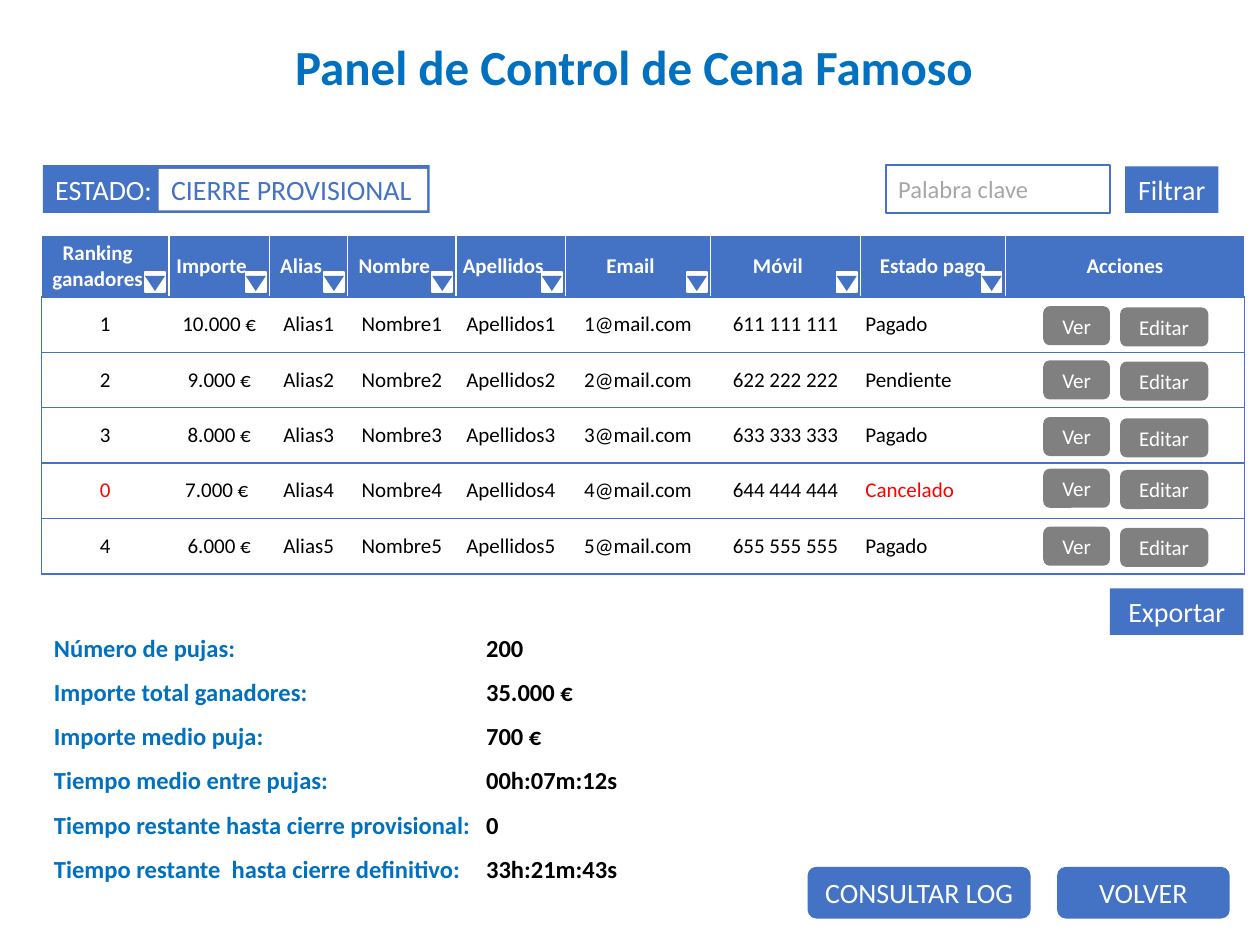
from dataclasses import dataclass
from itertools import accumulate

from lxml import etree
from pptx import Presentation
from pptx.dml.color import RGBColor
from pptx.enum.shapes import MSO_SHAPE
from pptx.enum.text import MSO_ANCHOR, MSO_AUTO_SIZE, PP_ALIGN
from pptx.oxml.ns import qn
from pptx.util import Inches, Pt

RECT = MSO_SHAPE.RECTANGLE
ROUND = MSO_SHAPE.ROUNDED_RECTANGLE
TRIANGLE = MSO_SHAPE.ISOSCELES_TRIANGLE
LEFT, CENTER = PP_ALIGN.LEFT, PP_ALIGN.CENTER
TOP, MIDDLE = MSO_ANCHOR.TOP, MSO_ANCHOR.MIDDLE
NO_FIT = MSO_AUTO_SIZE.NONE

FONT = "Calibri"
COLORS = {
    "blue": "4472C4",
    "heading": "0070C0",
    "white": "FFFFFF",
    "black": "000000",
    "red": "FF0000",
    "button": "808080",
    "hint": "A6A6A6",
}

TABLE_X, TABLE_Y = 0.33, 1.87
COL_WIDTHS = [1.01, 0.8, 0.62, 0.86, 0.87, 1.15, 1.19, 1.15, 1.9]
HEADER_HEIGHT, ROW_HEIGHT = 0.48, 0.44
HEADERS = ["Ranking ganadores", "Importe", "Alias", "Nombre", "Apellidos",
           "Email", "Móvil", "Estado pago", "Acciones"]
STATUS_COL, ACTIONS_COL = 7, 8
FILTER_SIZE = 0.16
ACTION_TOPS = [2.43, 2.86, 3.31, 3.72, 4.18]


@dataclass
class Winner:
    rank: str
    amount: str
    status: str

    def cells(self, n: int) -> list[str]:
        phone = f"6{n}{n} {str(n) * 3} {str(n) * 3}"
        return [self.rank, self.amount, f"Alias{n}", f"Nombre{n}",
                f"Apellidos{n}", f"{n}@mail.com", phone, self.status, ""]


@dataclass
class Box:
    x: float
    y: float
    w: float
    h: float
    text: str = ""
    size: int = 16
    fill: str | None = "blue"
    line: str | None = None
    color: str = "white"
    align: PP_ALIGN = CENTER
    shape: MSO_SHAPE = RECT


WINNERS = [
    Winner("1", "10.000 €", "Pagado"),
    Winner("2", "9.000 €", "Pendiente"),
    Winner("3", "8.000 €", "Pagado"),
    Winner("0", "7.000 € ", "Cancelado"),
    Winner("4", "6.000 €", "Pagado"),
]

BOXES = [
    Box(8.93, 1.32, 0.74, 0.37, "Filtrar"),
    Box(7.03, 1.31, 1.78, 0.38, "Palabra clave", size=14, fill=None,
        line="blue", color="hint", align=LEFT),
    Box(0.34, 1.31, 3.07, 0.38, "ESTADO:", align=LEFT),
    Box(1.26, 1.34, 2.13, 0.33, "CIERRE PROVISIONAL", fill="white",
        color="blue", align=LEFT),
    Box(8.81, 4.67, 1.06, 0.37, "Exportar"),
    Box(6.41, 6.88, 1.77, 0.41, "CONSULTAR LOG", shape=ROUND),
    Box(8.39, 6.88, 1.37, 0.41, "VOLVER", shape=ROUND),
]

SUMMARY = {
    "Número de pujas:": "200",
    "Importe total ganadores:": "35.000 €",
    "Importe medio puja:": "700 €",
    "Tiempo medio entre pujas:": "00h:07m:12s",
    "Tiempo restante hasta cierre provisional:": "0",
    "Tiempo restante  hasta cierre definitivo:": "33h:21m:43s",
}


def rgb(name: str) -> RGBColor:
    return RGBColor.from_string(COLORS[name])


def write(tf, text: str, *, size: int, color: str, bold: bool = False,
          align: PP_ALIGN = LEFT, spacing: float | None = None) -> None:
    for i, line in enumerate(text.split("\n")):
        p = tf.add_paragraph() if i else tf.paragraphs[0]
        p.alignment = align
        p.line_spacing = spacing
        r = p.add_run()
        r.text = line
        r.font.name = FONT
        r.font.size = Pt(size)
        r.font.bold = bold
        r.font.color.rgb = rgb(color)


def draw_box(shapes, box: Box):
    sp = shapes.add_shape(box.shape, Inches(box.x), Inches(box.y),
                          Inches(box.w), Inches(box.h))
    sp.shadow.inherit = False
    if box.fill:
        sp.fill.solid()
        sp.fill.fore_color.rgb = rgb(box.fill)
    else:
        sp.fill.background()
    if box.line:
        sp.line.color.rgb = rgb(box.line)
        sp.line.width = Pt(1)
    else:
        sp.line.fill.background()
    if box.text:
        sp.text_frame.vertical_anchor = MIDDLE
        write(sp.text_frame, box.text, size=box.size, color=box.color,
              align=box.align)
    return sp


def draw_filter(s, x: float) -> None:
    group = s.shapes.add_group_shape()
    draw_box(group.shapes, Box(x, 2.16, FILTER_SIZE, FILTER_SIZE,
                               fill="white", line="white"))
    arrow = draw_box(group.shapes, Box(x, 2.19, FILTER_SIZE, 0.12,
                                       shape=TRIANGLE))
    arrow.rotation = 180


def set_borders(cell, left: str, right: str, top: str, bottom: str) -> None:
    tc_pr = cell._tc.get_or_add_tcPr()
    sides = {"a:lnL": left, "a:lnR": right, "a:lnT": top, "a:lnB": bottom}
    for tag, color in sides.items():
        ln = etree.SubElement(tc_pr, qn(tag), w=str(Pt(1)))
        fill = etree.SubElement(ln, qn("a:solidFill"))
        etree.SubElement(fill, qn("a:srgbClr"), val=COLORS[color])


def draw_table(s) -> None:
    rows = [HEADERS] + [w.cells(n) for n, w in enumerate(WINNERS, 1)]
    heights = [HEADER_HEIGHT] + [ROW_HEIGHT] * len(WINNERS)
    table = s.shapes.add_table(
        len(rows), len(HEADERS), Inches(TABLE_X), Inches(TABLE_Y),
        Inches(sum(COL_WIDTHS)), Inches(sum(heights))).table
    table.horz_banding = False
    for col, width in zip(table.columns, COL_WIDTHS):
        col.width = Inches(width)
    for i, (values, height) in enumerate(zip(rows, heights)):
        table.rows[i].height = Inches(height)
        header = i == 0
        cancelled = values[STATUS_COL] == "Cancelado"
        for j, text in enumerate(values):
            cell = table.cell(i, j)
            first = j == 0 and not header
            last = j == ACTIONS_COL and not header
            set_borders(cell, "blue" if first else "white",
                        "blue" if last else "white",
                        "white" if header else "blue", "blue")
            cell.fill.solid()
            cell.fill.fore_color.rgb = rgb("blue" if header else "white")
            cell.vertical_anchor = MIDDLE
            cell.margin_left = cell.margin_top = Inches(0.04)
            cell.margin_bottom = Inches(0.04)
            cell.margin_right = Inches(0.16 if header and j < STATUS_COL else 0.04)
            red = cancelled and j in (0, STATUS_COL)
            color = "white" if header else "red" if red else "black"
            align = LEFT if j == STATUS_COL and not header else CENTER
            if text:
                write(cell.text_frame, text, size=12, color=color,
                      bold=header, align=align)


def draw_summary(s, x: float, w: float, lines, color: str) -> None:
    tf = s.shapes.add_textbox(Inches(x), Inches(4.86), Inches(w),
                              Inches(2.2)).text_frame
    tf.word_wrap = False
    write(tf, "\n".join(lines), size=14, color=color, bold=True, spacing=1.5)


def main() -> None:
    prs = Presentation()
    prs.slide_width, prs.slide_height = Inches(10), Inches(7.5)
    s = prs.slides.add_slide(prs.slide_layouts[5])

    title = s.shapes.title
    title.left, title.top = Inches(1.16), Inches(0.24)
    title.width, title.height = Inches(7.83), Inches(0.57)
    title.text_frame.auto_size = NO_FIT
    title.text_frame.vertical_anchor = TOP
    write(title.text_frame, "Panel de Control de Cena Famoso ", size=28,
          color="heading", bold=True, align=CENTER)

    draw_table(s)
    for edge in accumulate(COL_WIDTHS[:ACTIONS_COL], initial=TABLE_X):
        if edge > TABLE_X:
            draw_filter(s, edge - 0.19)
    for y in ACTION_TOPS:
        for x, dy, w, text in ((8.28, 0, 0.53, "Ver"), (8.89, 0.01, 0.7, "Editar")):
            draw_box(s.shapes, Box(x, y + dy, w, 0.31, text, size=12,
                                   fill="button", shape=ROUND))
    for box in BOXES:
        draw_box(s.shapes, box)
    draw_summary(s, 0.33, 3.53, SUMMARY.keys(), "heading")
    draw_summary(s, 3.76, 1.25, SUMMARY.values(), "black")
    prs.save("out.pptx")


if __name__ == "__main__":
    main()
